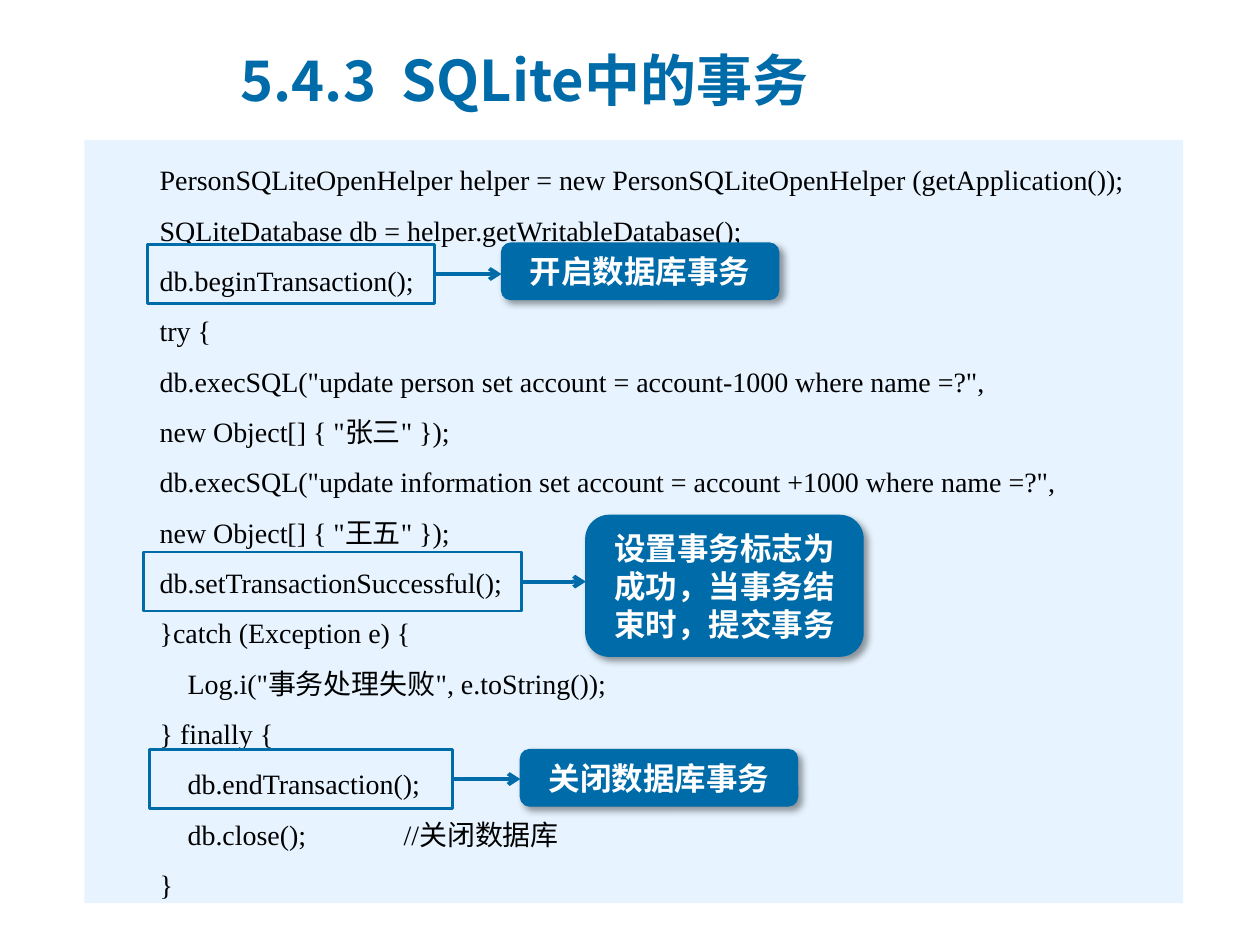
import pptx
import pptx.dml.color
import pptx.enum.shapes
import pptx.enum.text
import pptx.oxml
import pptx.oxml.ns
import pptx.util
from lxml import etree

Cm = pptx.util.Cm
Pt = pptx.util.Pt
SHAPES = pptx.enum.shapes.MSO_SHAPE
ALIGN = pptx.enum.text.PP_ALIGN
ANCHOR = pptx.enum.text.MSO_ANCHOR
COLORS = {"accent": "006BA9", "panel": "E7F4FF", "code": "000000",
          "white": "FFFFFF", "shadow": "000000"}
CJK_FONT = "Noto Sans CJK SC"
CODE_LINES = [
    "PersonSQLiteOpenHelper helper = new PersonSQLiteOpenHelper (getApplication());",
    "SQLiteDatabase db = helper.getWritableDatabase();",
    "db.beginTransaction();",
    "try {",
    'db.execSQL("update person set account = account-1000 where name =?",',
    'new Object[] { "张三" });',
    'db.execSQL("update information set account = account +1000 where name =?",',
    'new Object[] { "王五" });',
    "db.setTransactionSuccessful();",
    "}catch (Exception e) {",
    '    Log.i("事务处理失败", e.toString());',
    "} finally {",
    "    db.endTransaction();",
    "    db.close();\t//关闭数据库",
    "}",
]
STEPS = [
    ("开启数据库事务", (2.97, 4.93, 5.79, 1.19), (10.11, 4.9, 5.59, 1.14)),
    ("关闭数据库事务", (3.02, 15.11, 6.1, 1.19), (10.49, 15.11, 5.59, 1.14)),
    ("设置事务标志为成功，当事务结束时，提交事务",
     (2.9, 11.13, 7.62, 1.19), (11.81, 10.39, 5.59, 2.84)),
]


def color(name):
    """Return the named colour."""
    return pptx.dml.color.RGBColor.from_string(COLORS[name])


def add_element(parent, tag, **attributes):
    """Append a drawing element with the given attributes."""
    values = {name: str(value) for name, value in attributes.items()}
    return etree.SubElement(parent, pptx.oxml.ns.qn(tag), values)


def add_box(slide, kind, box, fill=None, line=None, width=0.75):
    """Add a preset shape with a plain fill and outline."""
    shape = slide.shapes.add_shape(kind, *map(Cm, box))
    shape.shadow.inherit = False
    if fill:
        shape.fill.solid()
        shape.fill.fore_color.rgb = color(fill)
    else:
        shape.fill.background()
    if line:
        shape.line.color.rgb = color(line)
        shape.line.width = Pt(width)
    else:
        shape.line.fill.background()
    return shape


def add_run(paragraph, text, font, size, color_name, bold=False):
    """Add one styled run with Latin and East Asian fonts."""
    run = paragraph.add_run()
    run.text = text
    run.font.name = font
    run.font.size = Pt(size)
    run.font.bold = bold
    run.font.color.rgb = color(color_name)
    add_element(run.font._element, "a:ea", typeface=CJK_FONT)


def add_tab(paragraph, position):
    """Set one left tab stop on a paragraph."""
    tabs = add_element(paragraph._p.get_or_add_pPr(), "a:tabLst")
    add_element(tabs, "a:tab", pos=int(Cm(position)), algn="l")


def add_title(slide, box):
    """Add the section title."""
    frame = slide.shapes.add_textbox(*map(Cm, box)).text_frame
    frame.word_wrap = True
    frame.vertical_anchor = ANCHOR.MIDDLE
    paragraph = frame.paragraphs[0]
    add_tab(paragraph, 3.25)
    add_run(paragraph, "5.4.3\tSQLite中的事务", CJK_FONT, 32, "accent", True)


def add_code(slide, box):
    """Add the panel with the code listing."""
    frame = add_box(slide, SHAPES.RECTANGLE, box, fill="panel").text_frame
    frame.word_wrap = True
    frame.vertical_anchor = ANCHOR.TOP
    frame.margin_left = Cm(1.52)
    for index, line in enumerate(CODE_LINES):
        paragraph = frame.add_paragraph() if index else frame.paragraphs[0]
        paragraph.alignment = ALIGN.LEFT
        paragraph.line_spacing = 1.5
        if "\t" in line:
            add_tab(paragraph, 4.92)
        add_run(paragraph, line, "Times New Roman", 16, "code")


def add_shadow(shape):
    """Give a shape a soft shadow to the lower right."""
    effects = shape._element.spPr.find(pptx.oxml.ns.qn("a:effectLst"))
    shadow = add_element(effects, "a:outerShdw", blurRad=int(Pt(4)),
                         dist=int(Pt(3)), dir=45 * 60000, algn="tl", rotWithShape=0)
    shade = add_element(shadow, "a:srgbClr", val=COLORS["shadow"])
    add_element(shade, "a:alpha", val=40000)


def add_arrow(slide, start, end, y):
    """Add a horizontal arrow from start to end."""
    arrow = slide.shapes.add_connector(
        pptx.enum.shapes.MSO_CONNECTOR.STRAIGHT, Cm(start), Cm(y), Cm(end), Cm(y))
    arrow.line.color.rgb = color("accent")
    arrow.line.width = Pt(2.25)
    add_element(arrow.line._get_or_add_ln(), "a:tailEnd", type="arrow")
    add_element(arrow._element.spPr, "a:effectLst")


def add_step(slide, text, frame_box, callout_box):
    """Frame a code line and link it to its callout."""
    left, top, width, height = frame_box
    add_box(slide, SHAPES.RECTANGLE, frame_box, line="accent", width=1.5)
    callout = add_box(slide, SHAPES.ROUNDED_RECTANGLE, callout_box, "accent", "accent")
    add_shadow(callout)
    callout.text_frame.word_wrap = True
    callout.text_frame.vertical_anchor = ANCHOR.MIDDLE
    paragraph = callout.text_frame.paragraphs[0]
    paragraph.alignment = ALIGN.CENTER
    add_run(paragraph, text, "Calibri", 18, "white", True)
    add_arrow(slide, left + width, callout_box[0], top + height / 2)


def main():
    """Build and save the presentation."""
    presentation = pptx.Presentation()
    presentation.slide_width = Cm(25.4)
    presentation.slide_height = Cm(19.05)
    slide = presentation.slides.add_slide(presentation.slide_layouts[6])
    add_code(slide, (1.7, 2.82, 22.15, 15.39))
    for step in STEPS:
        add_step(slide, *step)
    add_title(slide, (4.6, 0.53, 14.3, 2.13))
    presentation.save("out.pptx")


if __name__ == "__main__":
    main()
